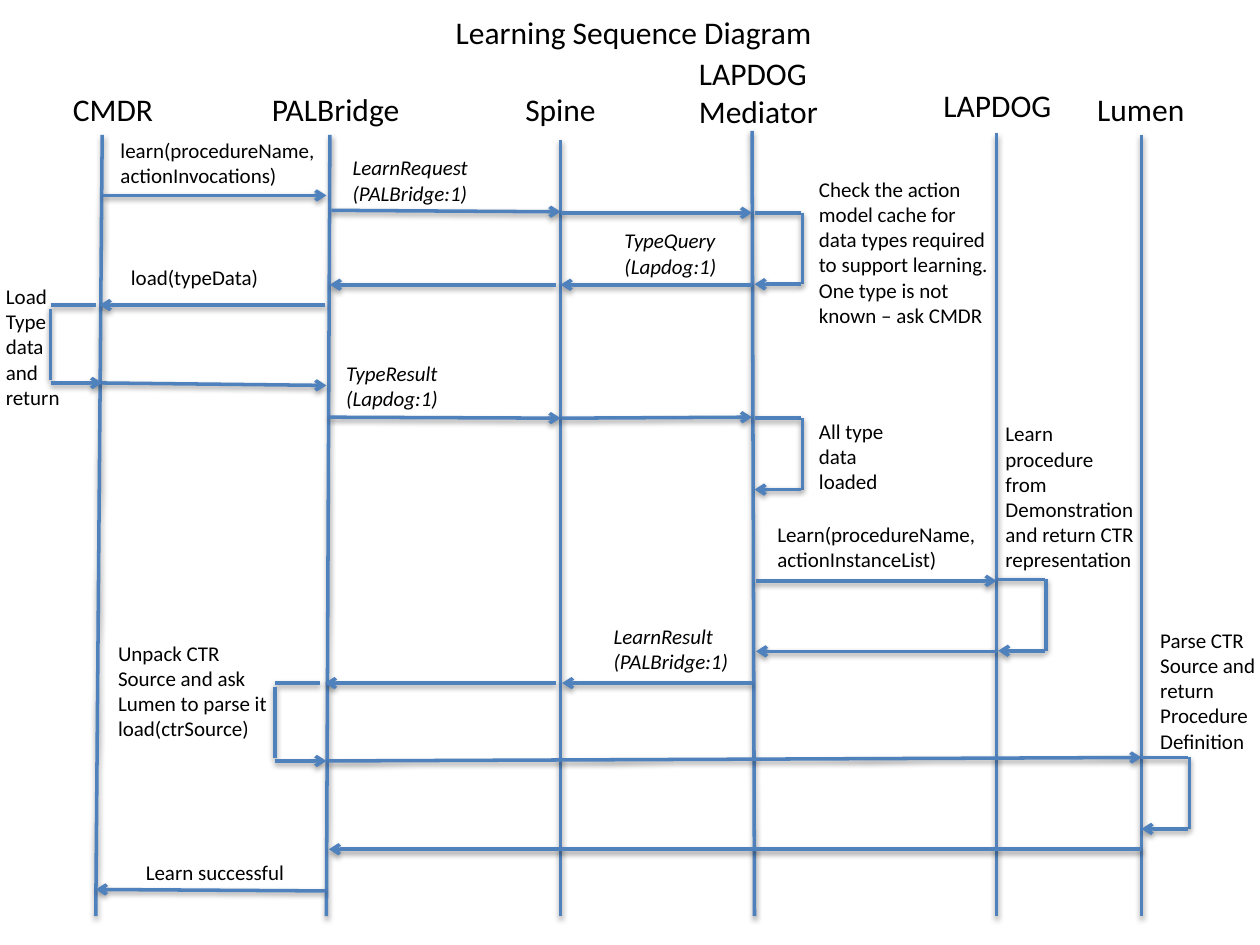
from dataclasses import dataclass
from lxml.etree import SubElement
from pptx import Presentation
from pptx.dml.color import RGBColor
from pptx.enum.shapes import MSO_CONNECTOR
from pptx.enum.text import MSO_AUTO_SIZE, PP_ALIGN
from pptx.oxml.ns import qn
from pptx.util import Cm, Pt

BLUE, BLACK = "4F81BD", "000000"
FOOT = 18.47
DROP = 1.44


@dataclass
class Label:
    text: str
    left: float
    top: float
    width: float
    height: float
    size: int = 12
    italic: bool = False
    wrap: bool = True
    align: PP_ALIGN = PP_ALIGN.LEFT


@dataclass
class Line:
    x1: float
    y1: float
    x2: float
    y2: float
    arrow: bool = True


@dataclass
class Actor:
    name: str
    left: float
    top: float
    width: float
    head: float
    foot: float
    start: float
    height: float = 1.02
    wrap: bool = True


def color(value: str) -> RGBColor:
    return RGBColor.from_string(value)


def write(slide, label: Label) -> None:
    box = slide.shapes.add_textbox(
        Cm(label.left), Cm(label.top), Cm(label.width), Cm(label.height))
    frame = box.text_frame
    frame.text = label.text
    frame.word_wrap = label.wrap
    frame.auto_size = MSO_AUTO_SIZE.SHAPE_TO_FIT_TEXT
    style = {"name": "Calibri", "size": Pt(label.size), "italic": label.italic}
    for para in frame.paragraphs:
        para.alignment = label.align
        for run in para.runs:
            for key, value in style.items():
                setattr(run.font, key, value)
            run.font.color.rgb = color(BLACK)


def draw(slide, line: Line) -> None:
    link = slide.shapes.add_connector(
        MSO_CONNECTOR.STRAIGHT,
        Cm(line.x1), Cm(line.y1), Cm(line.x2), Cm(line.y2))
    link.line.width = Pt(2)
    link.line.color.rgb = color(BLUE)
    props = link.element.spPr
    if line.arrow:
        SubElement(props.find(qn("a:ln")), qn("a:tailEnd"), type="arrow")
    effect = SubElement(props, qn("a:effectLst"))
    shadow = SubElement(effect, qn("a:outerShdw"), blurRad=str(Pt(3.1)),
                        dist=str(Pt(1.6)), dir="5400000", rotWithShape="0")
    tint = SubElement(shadow, qn("a:srgbClr"), val=BLACK)
    SubElement(tint, qn("a:alpha"), val="38000")


def loop_right(x: float, y: float) -> list[Line]:
    far, low = x + 0.97, y + DROP
    return [Line(x, y, far - 0.03, y, False),
            Line(far, y, far, low, False),
            Line(far - 0.03, low, x, low)]


def loop_left(x: float, y: float) -> list[Line]:
    return [Line(x, y, x + 0.91, y, False),
            Line(x, y + 0.07, x, y + 0.07 + DROP, False),
            Line(x, y + 1.57, x + 1.04, y + 1.57)]


ACTORS = [
    Actor("CMDR", 1.22, 1.7, 2.4, 2.06, 1.93, 2.72),
    Actor("PALBridge", 5.23, 1.7, 3.1, 6.65, 6.58, 2.72, wrap=False),
    Actor("Spine", 10.34, 1.7, 1.96, 11.3, 11.3, 2.82),
    Actor("LAPDOG\nMediator", 13.84, 0.97, 2.95, 15.16, 15.21, 2.64, 1.8, False),
    Actor("LAPDOG", 18.77, 1.6, 2.72, 20.09, 20.09, 2.69),
    Actor("Lumen", 21.87, 1.7, 2.29, 23.01, 23.01, 2.72),
]

CALLS = [
    Line(2.08, 3.94, 6.58, 3.94),
    Line(6.68, 4.24, 11.3, 4.27),
    Line(11.3, 4.29, 15.16, 4.29),
    Line(15.16, 5.74, 11.3, 5.74),
    Line(11.2, 5.74, 6.65, 5.74),
    Line(6.55, 6.15, 2.01, 6.15),
    Line(2.06, 7.72, 6.58, 7.77),
    Line(6.65, 8.41, 11.3, 8.43),
    Line(11.33, 8.43, 15.16, 8.41),
    Line(15.24, 11.71, 20.09, 11.71),
    Line(20.09, 13.13, 15.24, 13.13),
    Line(15.16, 13.77, 11.33, 13.77),
    Line(11.2, 13.77, 6.55, 13.77),
    Line(6.63, 15.34, 23.01, 15.27),
    Line(23.01, 17.12, 6.63, 17.12),
    Line(6.55, 17.96, 1.93, 17.93),
]

LOOPS = [
    loop_right(15.21, 4.29),
    loop_left(1.02, 6.15),
    loop_right(15.21, 8.43),
    loop_right(20.12, 11.68),
    loop_left(5.54, 13.77),
    loop_right(23.01, 15.27),
]

NOTES = [
    Label("Learning Sequence Diagram", 8.18, 0.13, 9.19, 1.02, 18,
          align=PP_ALIGN.CENTER),
    Label("learn(procedureName, actionInvocations)", 2.18, 2.64, 6.32, 1.27),
    Label("LearnRequest (PALBridge:1)", 6.86, 3, 4.11, 1.27, italic=True),
    Label("TypeQuery (Lapdog:1)", 12.34, 4.47, 3.51, 1.27, italic=True),
    Label("Check the action model cache for data types required to support "
          "learning. One type is not known – ask CMDR", 16.26, 3.43, 4.04, 3.33),
    Label("load(typeData)", 2.39, 5.21, 3.53, 0.76),
    Label("Load\nType\ndata\nand\nreturn", -0.13, 5.59, 2.87, 2.82),
    Label("TypeResult\n(Lapdog:1)", 6.73, 7.14, 3.89, 1.27, italic=True),
    Label("All type data loaded", 16.26, 8.31, 2.46, 1.8),
    Label("Learn procedure from\nDemonstration and return CTR representation",
          20.02, 8.36, 3.18, 3.33),
    Label("Learn(procedureName,\nactionInstanceList)", 15.42, 10.39, 4.88, 1.27),
    Label("LearnResult\n(PALBridge:1)", 12.12, 12.45, 4.11, 1.27, italic=True),
    Label("Unpack CTR Source and ask Lumen to parse it\nload(ctrSource)",
          2.13, 12.78, 3.53, 2.31),
    Label("Parse CTR Source and return Procedure Definition",
          23.14, 12.52, 2.46, 2.82),
    Label("Learn successful", 2.69, 17.2, 3.53, 0.76),
]

deck = Presentation()
deck.slide_width, deck.slide_height = Cm(25.4), Cm(19.05)
slide = deck.slides.add_slide(deck.slide_layouts[6])

for actor in ACTORS:
    write(slide, Label(actor.name, actor.left, actor.top, actor.width,
                       actor.height, 18, wrap=actor.wrap))
    draw(slide, Line(actor.head, actor.start, actor.foot, FOOT, False))
for call in CALLS:
    draw(slide, call)
for loop in LOOPS:
    for side in loop:
        draw(slide, side)
for note in NOTES:
    write(slide, note)

deck.save("out.pptx")
